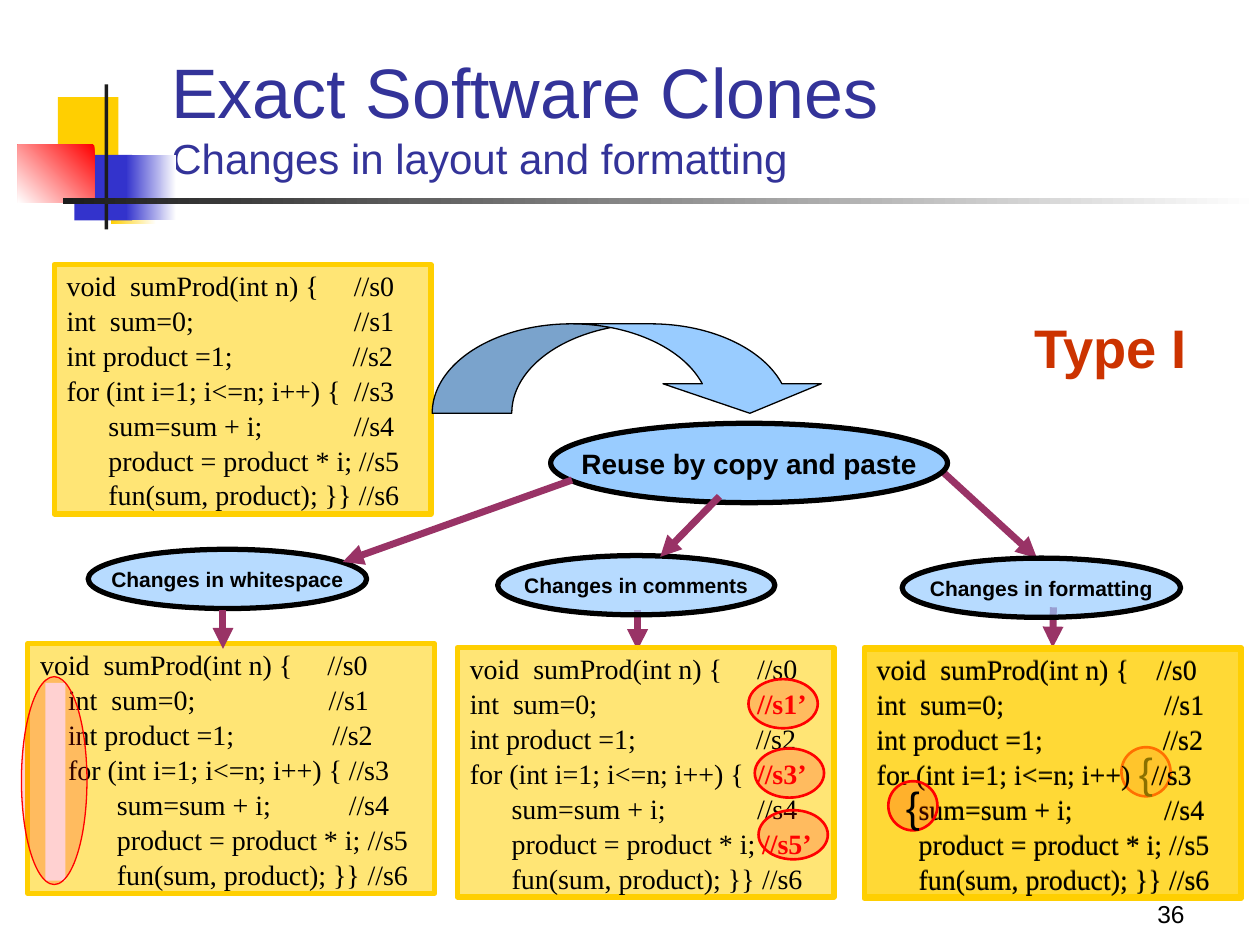
from lxml.etree import SubElement
from pptx import Presentation
from pptx.dml.color import RGBColor
from pptx.enum.shapes import MSO_CONNECTOR, MSO_SHAPE
from pptx.enum.text import MSO_ANCHOR, MSO_AUTO_SIZE, PP_ALIGN
from pptx.oxml.ns import qn
from pptx.util import Inches, Pt

HUES = {"gold": "FFCF01", "blue": "3333CC", "red": "FF0000", "white": "FFFFFF",
        "dark": "1C1C1C", "title": "333399", "sky": "99CCFF", "black": "000000",
        "plum": "993366", "rust": "CC3300"}

# Backdrop: place, colours from first to last stop, gradient angle
DECOR = [
    ((0.46, 0.77, 0.48, 0.52), ["gold"], 0),
    ((0.88, 1.26, 0.36, 0.52), ["white", "gold"], 180),
    ((0.59, 1.23, 0.46, 0.52), ["blue"], 0),
    ((1, 1.23, 0.4, 0.52), ["white", "blue"], 180),
    ((0.14, 1.15, 0.61, 0.46), ["red", "white"], 225),
    ((0.83, 0.67, 0.03, 1.15), ["dark"], 0),
    ((0.5, 1.57, 9.5, 0.05), ["white", "dark"], 180),
]

# Code lines: code, comment, tab stop of the comment
BASE = [
    ("void  sumProd(int n) {", "//s0", 2.28),
    ("int  sum=0;", "//s1", 2.28),
    ("int product =1;", "//s2", 2.27),
    ("for (int i=1; i<=n; i++) {", "//s3", 2.28),
    ("      sum=sum + i;", "//s4", 2.28),
    ("      product = product * i;", "//s5", 2.32),
    ("      fun(sum, product); }}", "//s6", 2.32),
]
SPACED = [
    BASE[0],
    ("    int  sum=0;", "//s1", 2.29),
    ("    int product =1;", "//s2", 2.32),
    ("    for (int i=1; i<=n; i++) {", "//s3", 2.45),
    ("           sum=sum + i;", "//s4", 2.45),
    ("           product = product * i;", "//s5", 2.6),
    ("           fun(sum, product); }}", "//s6", 2.6),
]
NOTED = [(code, note + "’" if note in ("//s1", "//s3", "//s5") else note, stop)
         for code, note, stop in BASE]
MOVED = list(BASE)
MOVED[0] = (BASE[0][0], "//s0", 2.22)
MOVED[3] = ("for (int i=1; i<=n; i++)", "//s3", 2.18)

# Arrows: start and end
BACK = [((7.28, 3.56), (8.23, 4.43)), ((5.06, 4.84), (5.06, 5.16))]
FRONT = [((1.77, 4.84), (1.77, 5.15)), ((5.71, 3.94), (5.24, 4.42)),
         ((4.54, 3.81), (2.72, 4.46))]

# Ovals: label, place, text size, opacity
ROOT = ("Reuse by copy and paste", (4.37, 3.36, 3.15, 0.63), 16, 100)
KINDS = [
    ("Changes in whitespace", (0.7, 4.36, 2.21, 0.47), 12, 70),
    ("Changes in comments", (3.95, 4.41, 2.2, 0.47), 12, 70),
    ("Changes in formatting", (7.16, 4.43, 2.21, 0.47), 12, 70),
]
RINGS = [(5.94, 5.39), (5.99, 5.94), (6.02, 6.43)]

deck = Presentation()
deck.slide_width, deck.slide_height = Inches(10), Inches(7.5)
slide = deck.slides.add_slide(deck.slide_layouts[5])


def hue(name):
    return RGBColor.from_string(HUES[name])


def style(run, size, name="black", bold=False, face="Arial"):
    run.font.size, run.font.bold, run.font.name = Pt(size), bold, face
    run.font.color.rgb = hue(name)


def draw(form, place, fill, edge=None, width=1.0, alpha=100):
    shape = slide.shapes.add_shape(form, *map(Inches, place))
    shape.shadow.inherit = False
    shape.fill.solid()
    shape.fill.fore_color.rgb = hue(fill)
    if alpha < 100:
        color = shape._element.spPr.find(qn("a:solidFill"))[0]
        SubElement(color, qn("a:alpha")).set("val", str(alpha * 1000))
    if edge:
        shape.line.color.rgb = hue(edge)
        shape.line.width = Pt(width)
    else:
        shape.line.fill.background()
    return shape


def label(shape, text, size, name="black", bold=False,
          align=PP_ALIGN.CENTER, anchor=MSO_ANCHOR.MIDDLE):
    frame = shape.text_frame
    frame.text = text
    frame.word_wrap = False
    frame.vertical_anchor = anchor
    frame.paragraphs[0].alignment = align
    style(frame.paragraphs[0].runs[0], size, name, bold)


def oval(text, place, size, alpha):
    label(draw(MSO_SHAPE.OVAL, place, "sky", "black", 3, alpha), text, size, bold=True)


def ring(place, width=1.5):
    return draw(MSO_SHAPE.OVAL, place, "red", "red", width, 18)


def brace(left, top):
    label(ring((left, top, 0.39, 0.39)), "{", 24)


def arrow(start, end):
    line = slide.shapes.add_connector(MSO_CONNECTOR.STRAIGHT, *map(Inches, start + end))
    line.line.color.rgb = hue("plum")
    line.line.width = Pt(4)
    SubElement(line.line._get_or_add_ln(), qn("a:tailEnd")).set("type", "triangle")
    SubElement(line._element.spPr, qn("a:effectLst"))
    return line


def card(lines, left, top, width=2.99):
    box = draw(MSO_SHAPE.RECTANGLE, (left, top, width, 1.98), "gold", "gold", 3, 54)
    frame = box.text_frame
    frame.word_wrap = True
    frame.vertical_anchor = MSO_ANCHOR.TOP
    frame.margin_top = frame.margin_bottom = Inches(0.02)
    for i, (code, note, stop) in enumerate(lines):
        para = frame.add_paragraph() if i else frame.paragraphs[0]
        para.alignment = PP_ALIGN.LEFT
        para.line_spacing = 1.04
        tabs = SubElement(para._p.get_or_add_pPr(), qn("a:tabLst"))
        SubElement(tabs, qn("a:tab"), pos=str(Inches(stop)), algn="l")
        mark = note.endswith("’")
        for text, name, bold in ((code + "\t", "black", False),
                                 (note, "red" if mark else "black", mark)):
            run = para.add_run()
            run.text = text
            style(run, 16, name, bold, "Times New Roman")
    return box


# Backdrop
for place, names, angle in DECOR:
    block = draw(MSO_SHAPE.RECTANGLE, place, names[0])
    if len(names) > 1:
        block.fill.gradient()
        block.fill.gradient_angle = angle
        for stop, name in zip(block.fill.gradient_stops, names):
            stop.color.rgb = hue(name)

# Title
title = slide.shapes.title
title.left, title.top, title.width, title.height = map(Inches, (1.26, 0.13, 8.52, 1.37))
frame = title.text_frame
frame.text = "Exact Software Clones\vChanges in layout and formatting"
frame.auto_size = MSO_AUTO_SIZE.NONE
frame.vertical_anchor = MSO_ANCHOR.BOTTOM
frame.paragraphs[0].alignment = PP_ALIGN.LEFT
for run, size in zip(frame.paragraphs[0].runs, (40, 24)):
    style(run, size, "title")

# Page number and type
page = slide.shapes.add_textbox(*map(Inches, (7.42, 6.92, 2.08, 0.5)))
label(page, "36", 14, align=PP_ALIGN.RIGHT, anchor=MSO_ANCHOR.BOTTOM)
page.text_frame.word_wrap = True
kind = slide.shapes.add_textbox(*map(Inches, (7.99, 2.28, 1.65, 0.95)))
label(kind, "Type I", 31, "rust", True)

# Tree and code cards
for start, end in BACK:
    arrow(start, end)
drop = arrow((8.36, 4.82), (8.36, 5.14))
oval(*ROOT)
card(SPACED, 0.22, 5.11, 3.23)
draw(MSO_SHAPE.RECTANGLE, (0.36, 5.42, 0.16, 1.57), "white")
drop.end_connect(card(MOVED, 6.86, 5.14), 0)
card(NOTED, 3.63, 5.14)
card(BASE, 0.43, 2.1)
for item in KINDS:
    oval(*item)

# Curved copy arrow
swoop = draw(MSO_SHAPE.CURVED_DOWN_ARROW, (3.43, 2.57, 3.15, 0.71), "sky", "black", 0.75)
for i, value in enumerate((0.89, 1.77, 0.33)):
    swoop.adjustments[i] = value
for start, end in FRONT:
    arrow(start, end)

# Marks on the changes
for left, top in RINGS:
    ring((left, top, 0.55, 0.39))
ring((0.17, 5.37, 0.52, 1.65), 0.75)
brace(8.9, 5.93)
card(MOVED, 6.86, 5.15)
brace(7.05, 6.2)

deck.save("out.pptx")
